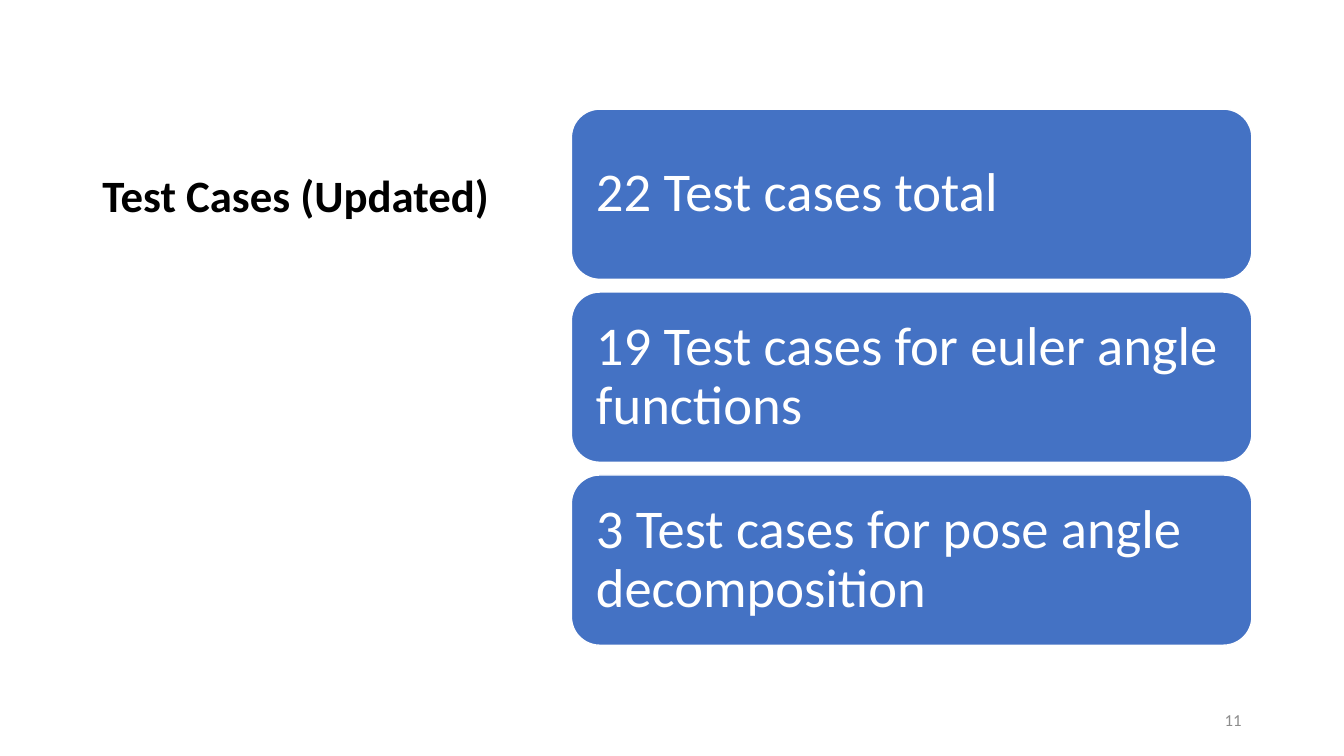
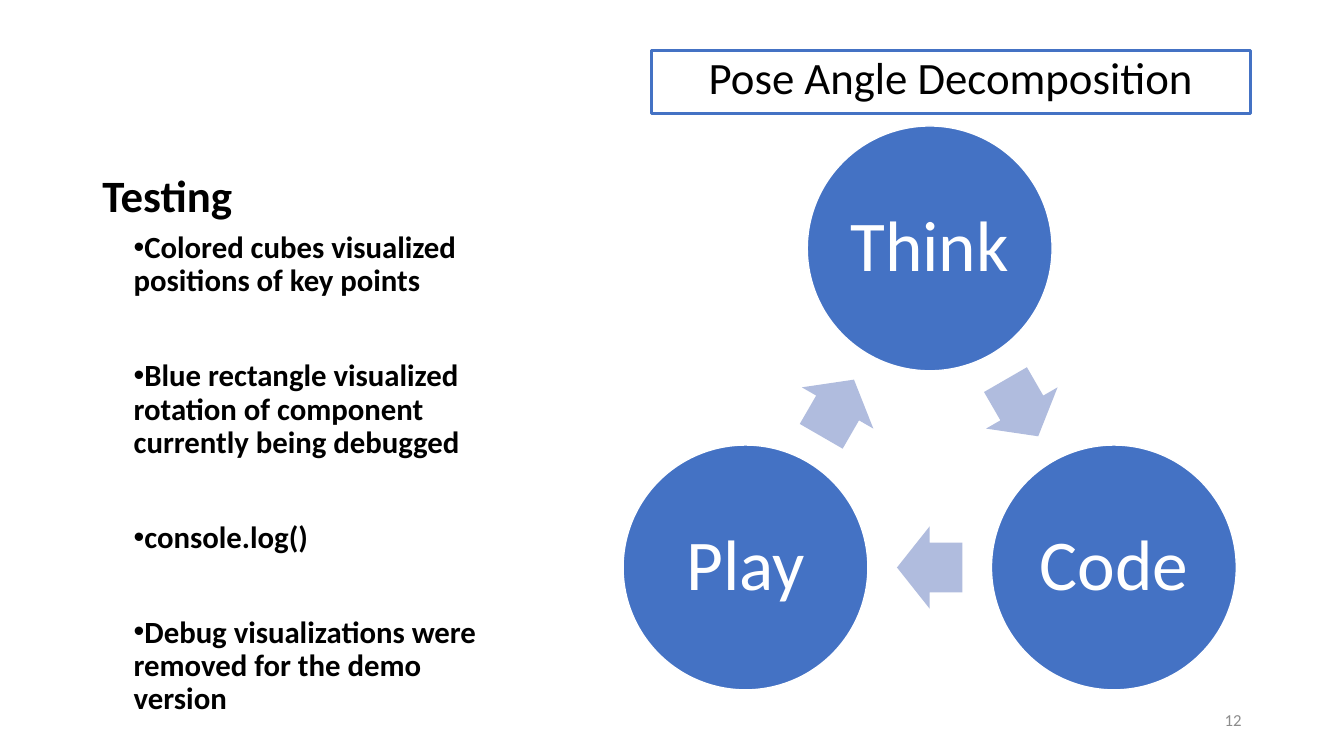
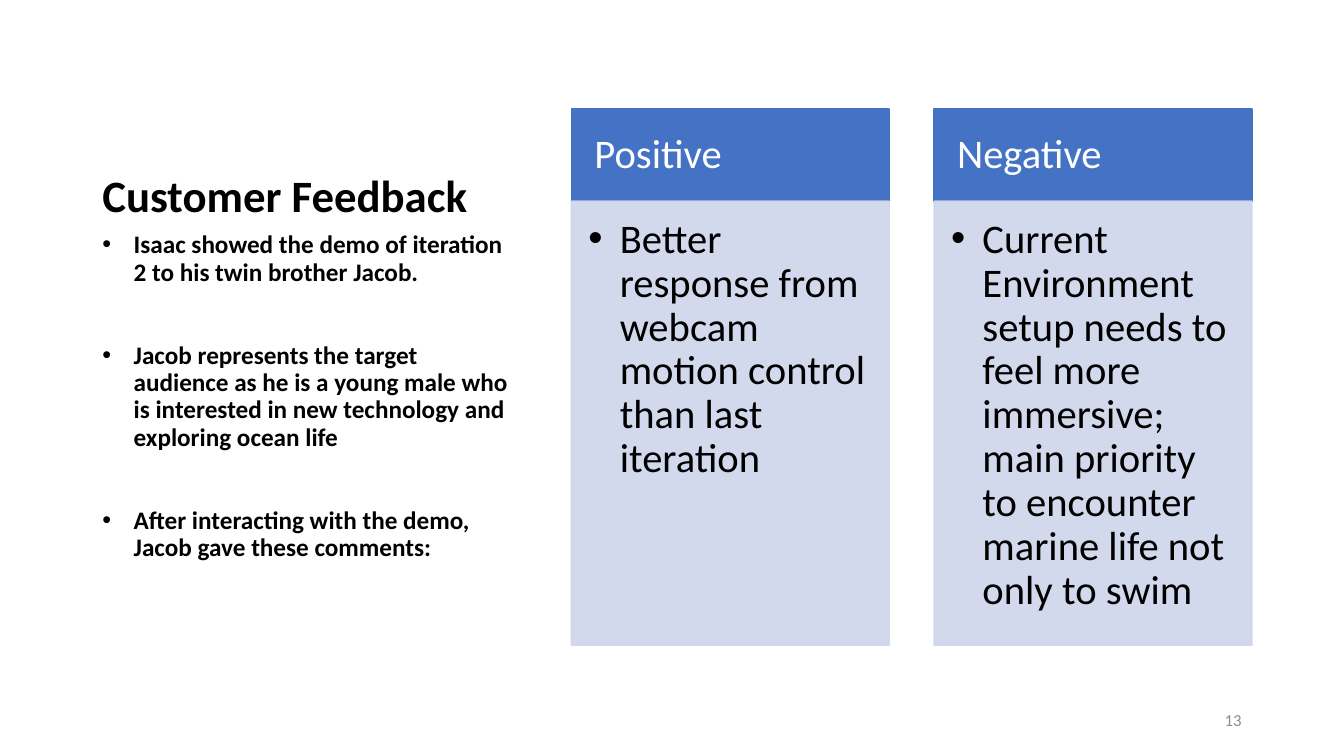
from dataclasses import dataclass
from math import cos, radians, sin
from typing import Optional

from lxml import etree
from pptx import Presentation
from pptx.dml.color import RGBColor
from pptx.enum.shapes import MSO_SHAPE
from pptx.enum.text import MSO_ANCHOR, PP_ALIGN
from pptx.oxml.ns import qn
from pptx.util import Cm, Pt

RECTANGLE = MSO_SHAPE.RECTANGLE
ROUNDED = MSO_SHAPE.ROUNDED_RECTANGLE
OVAL = MSO_SHAPE.OVAL
ARROW = MSO_SHAPE.RIGHT_ARROW
TOP, MIDDLE, BOTTOM = MSO_ANCHOR.TOP, MSO_ANCHOR.MIDDLE, MSO_ANCHOR.BOTTOM
LEFT, CENTER, RIGHT = PP_ALIGN.LEFT, PP_ALIGN.CENTER, PP_ALIGN.RIGHT


@dataclass(frozen=True)
class Theme:
    font: str = "Calibri"
    accent: str = "4472C4"
    arrow: str = "B0BCDE"
    panel: str = "CFD5EA"
    white: str = "FFFFFF"
    black: str = "000000"
    grey: str = "8C8C8C"
    title_size: int = 32
    card_size: int = 39
    circle_size: int = 51
    column_size: int = 29
    number_size: int = 12
    line_spacing: float = 0.9
    bullet_indent: float = 0.79


THEME = Theme()


@dataclass(frozen=True)
class Box:
    left: float
    top: float
    width: float
    height: float


@dataclass(frozen=True)
class TextStyle:
    size: int
    color: str = THEME.black
    bold: bool = False
    align: PP_ALIGN = LEFT
    anchor: MSO_ANCHOR = TOP
    insets: tuple[float, float, float, float] = (0.25, 0.13, 0.25, 0.13)
    bullet: bool = False
    hanging: bool = True
    gap: float = 0


@dataclass(frozen=True)
class Column:
    heading: str
    comment: str


TITLE_BOX = Box(2.33, 1.27, 10.92, 4.45)
BODY_BOX = Box(2.33, 5.72, 10.92, 10.59)
NUMBER_BOX = Box(23.92, 17.66, 7.62, 1.01)
PANEL = Box(14.4, 2.75, 17.15, 13.51)

TITLE_STYLE = TextStyle(THEME.title_size, bold=True, anchor=BOTTOM)
NUMBER_STYLE = TextStyle(THEME.number_size, THEME.grey, align=RIGHT, anchor=MIDDLE)
CARD_STYLE = TextStyle(THEME.card_size, THEME.white, anchor=MIDDLE, insets=(0.41,) * 4)
CIRCLE_STYLE = TextStyle(THEME.circle_size, THEME.white, align=CENTER, anchor=MIDDLE,
                         insets=(0.18,) * 4)
LABEL_STYLE = TextStyle(THEME.title_size, align=CENTER)
HEADING_STYLE = TextStyle(THEME.column_size, THEME.white, anchor=MIDDLE,
                          insets=(0.58, 0.33, 0.58, 0.33))
COMMENT_STYLE = TextStyle(THEME.column_size, insets=(0.43, 0.43, 0.58, 0.64), bullet=True)
TESTING_STYLE = TextStyle(22, bold=True, bullet=True, hanging=False, gap=44)
FEEDBACK_STYLE = TextStyle(18, bold=True, bullet=True, gap=40)

CARDS = (
    "22 Test cases total",
    "19 Test cases for euler angle functions",
    "3 Test cases for pose angle decomposition",
)
CYCLE = ("Think", "Code", "Play")
TESTING_POINTS = (
    "Colored cubes visualized positions of key points",
    "Blue rectangle visualized rotation of component currently being debugged",
    "console.log()",
    "Debug visualizations were removed for the demo version",
)
FEEDBACK_POINTS = (
    "Isaac showed the demo of iteration 2 to his twin brother Jacob.",
    "Jacob represents the target audience as he is a young male who is interested in "
    "new technology and exploring ocean life",
    "After interacting with the demo, Jacob gave these comments:",
)
COLUMNS = (
    Column("Positive", "Better response from webcam motion control than last iteration"),
    Column("Negative", "Current Environment setup needs to feel more immersive; main priority "
                       "to encounter marine life not only to swim"),
)


def place(box: Box) -> tuple[Cm, Cm, Cm, Cm]:
    return Cm(box.left), Cm(box.top), Cm(box.width), Cm(box.height)


def add_bullet(paragraph, hanging: bool) -> None:
    indent = Cm(THEME.bullet_indent)
    properties = paragraph._p.get_or_add_pPr()
    properties.set("marL", str(indent))
    properties.set("indent", str(-indent if hanging else 0))
    etree.SubElement(properties, qn("a:buFont")).set("typeface", "Arial")
    etree.SubElement(properties, qn("a:buChar")).set("char", "•")


def write(shape, lines: tuple[str, ...], style: TextStyle) -> None:
    frame = shape.text_frame
    frame.text = "\n".join(lines)
    frame.word_wrap = True
    frame.vertical_anchor = style.anchor
    (frame.margin_left, frame.margin_top,
     frame.margin_right, frame.margin_bottom) = map(Cm, style.insets)
    for index, paragraph in enumerate(frame.paragraphs):
        paragraph.alignment = style.align
        paragraph.line_spacing = THEME.line_spacing
        paragraph.space_before = Pt(style.gap if index else 0)
        if style.bullet:
            add_bullet(paragraph, style.hanging)
        for run in paragraph.runs:
            run.font.name = THEME.font
            run.font.size = Pt(style.size)
            run.font.bold = style.bold
            run.font.color.rgb = RGBColor.from_string(style.color)


def add_text(slide, box: Box, lines: tuple[str, ...], style: TextStyle) -> None:
    write(slide.shapes.add_textbox(*place(box)), lines, style)


def add_block(slide, kind: MSO_SHAPE, box: Box, fill: str, line: Optional[str] = None,
              line_width: float = 1, opacity: int = 100):
    shape = slide.shapes.add_shape(kind, *place(box))
    shape.shadow.inherit = False
    shape.fill.solid()
    shape.fill.fore_color.rgb = RGBColor.from_string(fill)
    if line:
        shape.line.color.rgb = RGBColor.from_string(line)
        shape.line.width = Pt(line_width)
    else:
        shape.line.fill.background()
    if opacity < 100:
        for color in shape._element.spPr.iter(qn("a:srgbClr")):
            etree.SubElement(color, qn("a:alpha")).set("val", str(opacity * 1000))
    return shape


def add_page(presentation, title: str, number: int):
    slide = presentation.slides.add_slide(presentation.slide_layouts[6])
    add_text(slide, TITLE_BOX, (title,), TITLE_STYLE)
    add_text(slide, NUMBER_BOX, (str(number),), NUMBER_STYLE)
    return slide


def add_cards(slide) -> None:
    gap = 0.32
    height = (PANEL.height - gap * (len(CARDS) - 1)) / len(CARDS)
    for index, text in enumerate(CARDS):
        box = Box(PANEL.left, PANEL.top + index * (height + gap), PANEL.width, height)
        write(add_block(slide, ROUNDED, box, THEME.accent, THEME.white), (text,), CARD_STYLE)


def orbit_box(radius: float, angle: float, width: float, height: float) -> Box:
    center_x, center_y = 23.43, 11.62
    return Box(center_x + radius * cos(radians(angle)) - width / 2,
               center_y + radius * sin(radians(angle)) - height / 2, width, height)


def add_cycle(slide) -> None:
    radius, diameter = 5.36, 6.17
    step = 360 / len(CYCLE)
    for index, text in enumerate(CYCLE):
        angle = index * step - 90
        circle = add_block(slide, OVAL, orbit_box(radius, angle, diameter, diameter),
                           THEME.accent, THEME.white)
        write(circle, (text,), CIRCLE_STYLE)
        middle = angle + step / 2
        arrow = add_block(slide, ARROW, orbit_box(radius / 2, middle, 1.65, 2.08), THEME.arrow)
        arrow.adjustments[0] = 0.6
        arrow.adjustments[1] = 0.5
        arrow.rotation = middle + 90


def add_columns(slide) -> None:
    gap, heading_height = 1.13, 2.32
    width = (PANEL.width - gap * (len(COLUMNS) - 1)) / len(COLUMNS)
    for index, column in enumerate(COLUMNS):
        left = PANEL.left + index * (width + gap)
        heading_box = Box(left, PANEL.top, width, heading_height)
        comment_box = Box(left, PANEL.top + heading_height, width,
                          PANEL.height - heading_height)
        heading = add_block(slide, RECTANGLE, heading_box, THEME.accent, THEME.accent)
        write(heading, (column.heading,), HEADING_STYLE)
        comment = add_block(slide, RECTANGLE, comment_box, THEME.panel, THEME.panel, opacity=90)
        write(comment, (column.comment,), COMMENT_STYLE)


def main() -> None:
    presentation = Presentation()
    presentation.slide_width = Cm(33.87)
    presentation.slide_height = Cm(19.05)

    add_cards(add_page(presentation, "Test Cases (Updated)", 11))

    testing = add_page(presentation, "Testing", 12)
    add_cycle(testing)
    add_text(testing, BODY_BOX, TESTING_POINTS, TESTING_STYLE)
    label = add_block(testing, RECTANGLE, Box(16.41, 1.27, 15.11, 1.6),
                      THEME.white, THEME.accent, 2.25)
    write(label, ("Pose Angle Decomposition",), LABEL_STYLE)

    feedback = add_page(presentation, "Customer Feedback", 13)
    add_columns(feedback)
    add_text(feedback, BODY_BOX, FEEDBACK_POINTS, FEEDBACK_STYLE)

    presentation.save("out.pptx")


if __name__ == "__main__":
    main()
